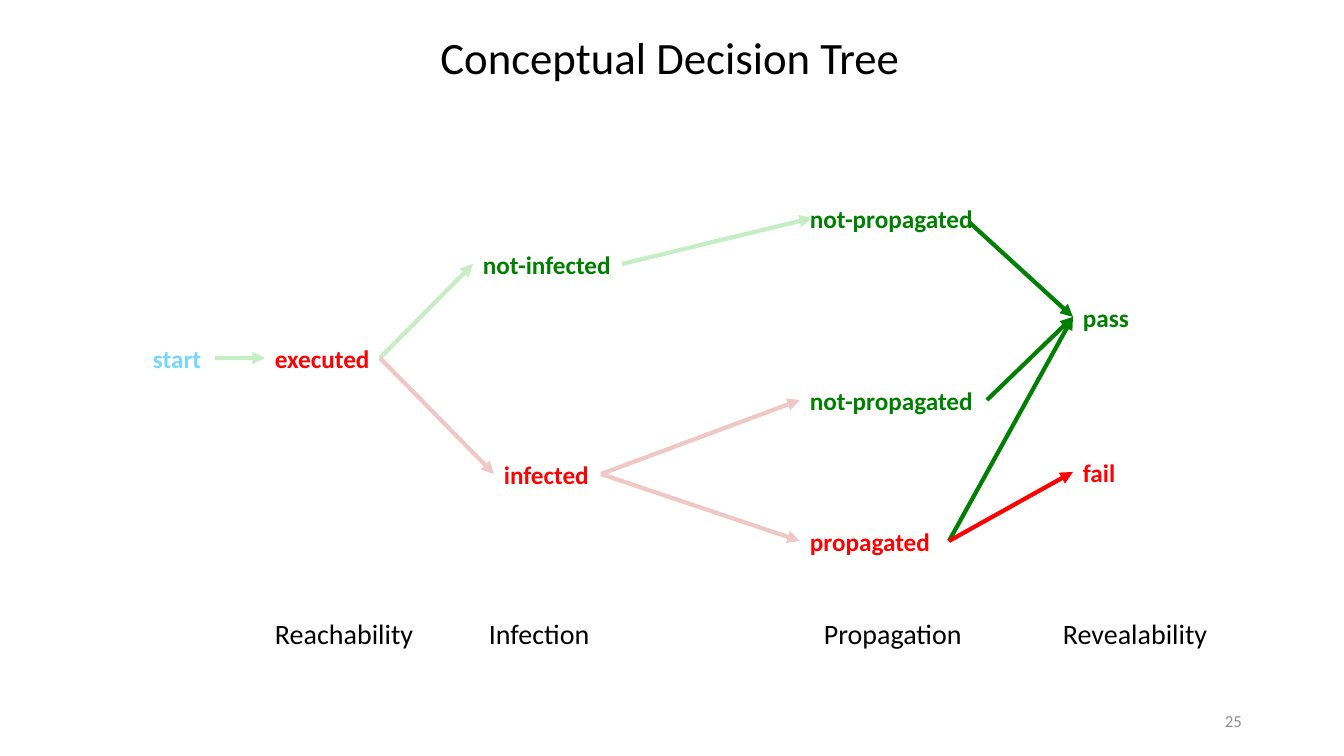
from lxml import etree
from pptx import Presentation
from pptx import util as u
from pptx.dml.color import RGBColor
from pptx.enum import shapes, text
from pptx.oxml.ns import qn

EMU_PER_PX = 914400 / 100.8
RED, GREEN, SKY = "FF0000", "008000", "76D6FF"
PALE_GREEN, PALE_RED = "C6EEC5", "EFC7C5"
BLACK, GREY = "000000", "8C8C8C"
LEFT, RIGHT = 1, 3


def px(length):
    return u.Emu(round(length * EMU_PER_PX))


def rgb(code):
    return RGBColor.from_string(code)


class TreeSlide:
    font = "Calibri"

    def __init__(self, prs):
        self.slide = prs.slides.add_slide(prs.slide_layouts[5])

    def set_text(self, shape, words, size, color, bold=False,
                 align=text.PP_ALIGN.LEFT, anchor=text.MSO_ANCHOR.TOP, tabs=()):
        frame = shape.text_frame
        settings = {"word_wrap": True, "auto_size": text.MSO_AUTO_SIZE.NONE,
                    "vertical_anchor": anchor}
        for name, value in settings.items():
            setattr(frame, name, value)
        line = frame.paragraphs[0]
        line.text = words
        line.alignment = align
        if tabs:
            tab_list = etree.SubElement(line._p.get_or_add_pPr(), qn("a:tabLst"))
            for stop in tabs:
                etree.SubElement(tab_list, qn("a:tab"), pos=str(px(stop)), algn="l")
        style = {"name": self.font, "size": u.Pt(size), "bold": bold}
        for run in line.runs:
            for name, value in style.items():
                setattr(run.font, name, value)
            run.font.color.rgb = rgb(color)
        return shape

    def title(self, words, left, top, width, height):
        heading = self.slide.shapes.title
        place = {"left": left, "top": top, "width": width, "height": height}
        for name, value in place.items():
            setattr(heading, name, px(value))
        self.set_text(heading, words, 32, BLACK, align=text.PP_ALIGN.CENTER)

    def label(self, words, left, top, width, height, size, color, **style):
        box = self.slide.shapes.add_textbox(*map(px, (left, top, width, height)))
        return self.set_text(box, words, size, color, **style)

    def node(self, words, left, top, width, color):
        return self.label(words, left, top, width, 40, 18, color, bold=True)

    def arrow(self, color, start, end):
        """Each end is a (node, side) pair or an (x, y) point."""
        points = [(0, 0) if hasattr(a, "text_frame") else (a, b)
                  for a, b in (start, end)]
        branch = self.slide.shapes.add_connector(
            shapes.MSO_CONNECTOR.STRAIGHT, *(px(n) for p in points for n in p))
        for join, (target, side) in ((branch.begin_connect, start),
                                     (branch.end_connect, end)):
            if hasattr(target, "text_frame"):
                join(target, side)
        branch.line.color.rgb = rgb(color)
        branch.line.width = u.Pt(3)
        etree.SubElement(branch.line._get_or_add_ln(), qn("a:tailEnd"), type="triangle")
        etree.SubElement(branch._element.spPr, qn("a:effectLst"))


def main():
    prs = Presentation()
    prs.slide_width, prs.slide_height = px(1344), px(756)
    tree = TreeSlide(prs)
    tree.title("Conceptual Decision Tree", 215, 25, 910, 65)

    # Outcomes at each stage
    start = tree.node("start", 143, 338, 72, SKY)
    executed = tree.node("executed", 265, 338, 115, RED)
    not_infected = tree.node("not-infected", 473, 244, 149, GREEN)
    infected = tree.node("infected", 494, 454, 107, RED)
    tree.node("not-propagated", 800, 198, 187, GREEN)
    propagated = tree.node("propagated", 800, 521, 149, RED)
    passed = tree.node("pass", 1073, 297, 72, GREEN)
    failed = tree.node("fail", 1073, 452, 53, RED)
    not_propagated = tree.node("not-propagated", 800, 380, 187, GREEN)

    # Branches
    for color, origin, target in (
        (PALE_GREEN, (start, RIGHT), (executed, LEFT)),
        (PALE_GREEN, (executed, RIGHT), (not_infected, LEFT)),
        (PALE_GREEN, (not_infected, RIGHT), (812, 218)),
        (PALE_RED, (infected, RIGHT), (not_propagated, LEFT)),
        (PALE_RED, (infected, RIGHT), (propagated, LEFT)),
        (PALE_RED, (executed, RIGHT), (infected, LEFT)),
        (GREEN, (969, 222), (passed, LEFT)),
        (GREEN, (not_propagated, RIGHT), (passed, LEFT)),
        (GREEN, (propagated, RIGHT), (passed, LEFT)),
        (RED, (propagated, RIGHT), (failed, LEFT)),
    ):
        tree.arrow(color, origin, target)

    # Stage names and page number
    tree.label("Reachability\tInfection\tPropagation\tRevealability",
               265, 612, 955, 44, 20, BLACK, tabs=(214, 549, 788))
    tree.label("25", 950, 701, 302, 40, 12, GREY,
               align=text.PP_ALIGN.RIGHT, anchor=text.MSO_ANCHOR.MIDDLE)

    prs.save("out.pptx")


if __name__ == "__main__":
    main()
